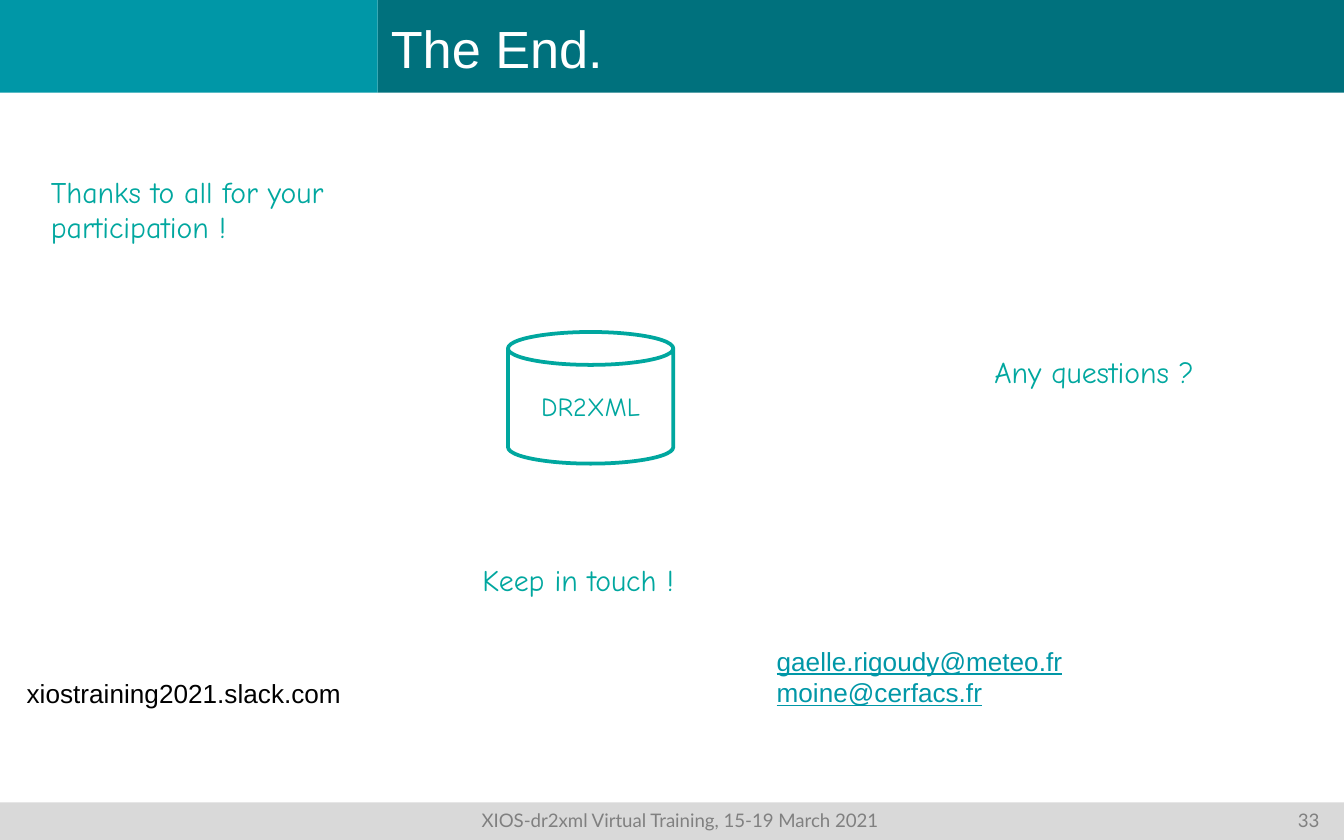
from pptx import Presentation
from pptx.dml.color import RGBColor
from pptx.enum.shapes import MSO_SHAPE as Kind
from pptx.enum.text import MSO_ANCHOR as Anchor, PP_ALIGN as Align
from pptx.oxml.ns import qn
from pptx.util import Inches, Pt
from lxml.etree import SubElement as Sub

THEME = {
    "dark": "00717D", "teal": "0097A7", "green": "00A79F", "grey": "D9D9D9",
    "mute": "808080", "white": "FFFFFF", "black": "000000",
    "title": 28, "note": 16, "body": 14, "foot": 10,
    "sans": "Arial", "hand": "Comic Neue", "footer": "Lato",
}
SIZE = (10, 6.25)
SPLIT, HEAD, FOOT = 2.81, 0.69, 0.28

TITLE = "The End."
FOOTER = "\tXIOS-dr2xml Virtual Training, 15-19 March 2021\t33"
TABS = [(4.96, "ctr"), (9.72, "r")]
NOTES = [
    ("Thanks to all for your participation !", (0.28, 1.24, 2.81, 0.64)),
    ("Any questions ?", (7.3, 2.58, 2.2, 0.37)),
    ("Keep in touch !", (3.49, 4.13, 2.2, 0.37)),
]
MAILS = ["gaelle.rigoudy@meteo.fr", "moine@cerfacs.fr"]
MAIL_BOX = (5.68, 4.75, 2.49, 0.57)
STORE, STORE_BOX = "DR2XML", (3.78, 2.47, 1.23, 0.98)
SITE, SITE_BOX = "xiostraining2021.slack.com", (0.1, 4.99, 2.61, 0.34)


def tint(name):
    return RGBColor.from_string(THEME[name])


def add_box(slide, box, fill, kind=Kind.RECTANGLE, line=None):
    shape = slide.shapes.add_shape(kind, *map(Inches, box))
    shape.shadow.inherit = False
    shape.fill.solid()
    shape.fill.fore_color.rgb = tint(fill)
    if line:
        shape.line.color.rgb = tint(line)
        shape.line.width = Pt(2)
    else:
        shape.line.fill.background()
    return shape


def add_area(slide, box):
    return slide.shapes.add_textbox(*map(Inches, box))


def put_text(shape, *lines, size="body", font="sans", color="green",
             align=Align.LEFT, anchor=Anchor.TOP, wrap=True, under=None, tabs=()):
    frame = shape.text_frame
    frame.word_wrap = wrap
    frame.vertical_anchor = anchor
    for i, line in enumerate(lines):
        para = frame.add_paragraph() if i else frame.paragraphs[0]
        para.alignment = align
        if tabs:
            stops = Sub(para._p.get_or_add_pPr(), qn("a:tabLst"))
            for pos, side in tabs:
                Sub(stops, qn("a:tab"), pos=str(Inches(pos)), algn=side)
        run = para.add_run()
        run.text = line
        run.font.size = Pt(THEME[size])
        run.font.name = THEME[font]
        run.font.color.rgb = tint(color)
        run.font.underline = under
    return frame


def main():
    """Build the closing slide and save it."""
    deck = Presentation()
    deck.slide_width, deck.slide_height = map(Inches, SIZE)
    slide = deck.slides.add_slide(deck.slide_layouts[6])
    wide, high = SIZE

    head = add_box(slide, (SPLIT, 0, wide - SPLIT, HEAD), "dark")
    frame = put_text(head, TITLE, size="title", color="white", anchor=Anchor.BOTTOM)
    frame.margin_top = frame.margin_bottom = Inches(0.1)
    add_box(slide, (0, 0, SPLIT, HEAD), "teal")

    foot = add_box(slide, (0, high - FOOT, wide, FOOT), "grey")
    put_text(foot, FOOTER, size="foot", font="footer", color="mute", tabs=TABS)

    for text, box in NOTES:
        put_text(add_area(slide, box), text, size="note", font="hand")
    put_text(add_area(slide, MAIL_BOX), *MAILS, color="teal", under=True)

    store = add_box(slide, STORE_BOX, "white", kind=Kind.CAN, line="green")
    put_text(store, STORE, font="hand", align=Align.CENTER, anchor=Anchor.MIDDLE)
    put_text(add_area(slide, SITE_BOX), SITE, color="black", wrap=False)
    deck.save("out.pptx")


if __name__ == "__main__":
    main()
